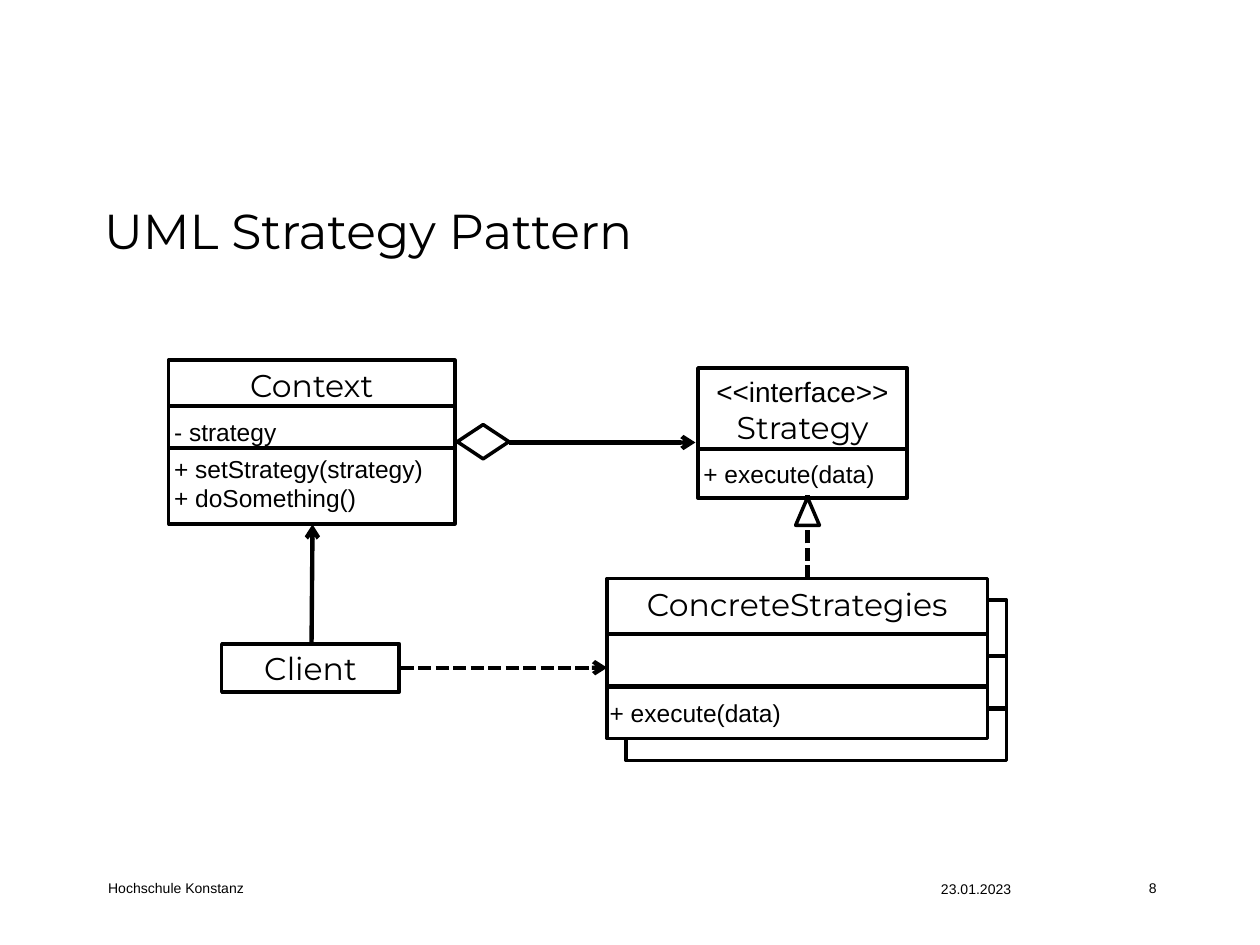
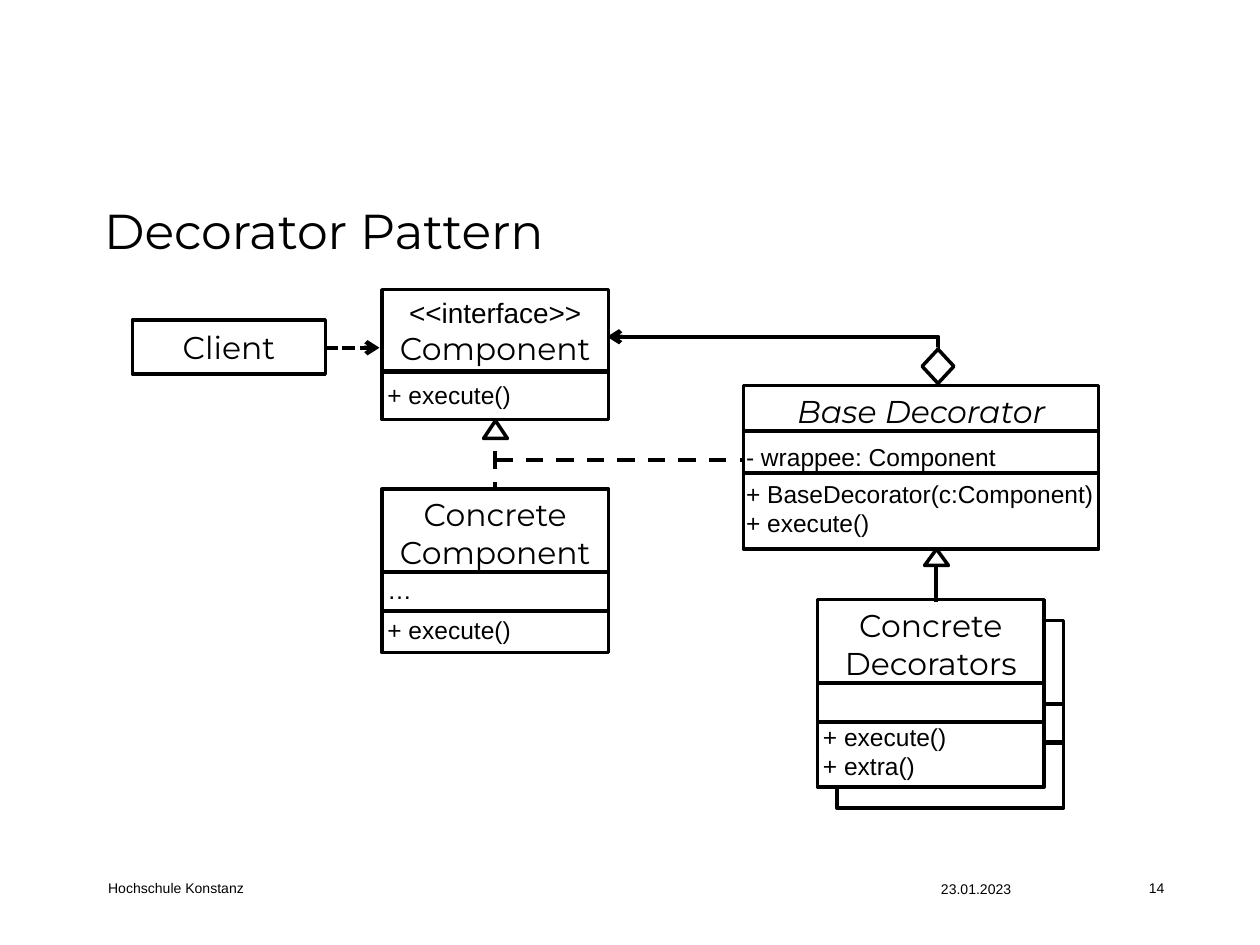
from dataclasses import dataclass
from typing import NamedTuple

from lxml.etree import SubElement
from pptx import Presentation
from pptx.dml.color import RGBColor
from pptx.enum.dml import MSO_LINE
from pptx.enum.shapes import MSO_CONNECTOR, MSO_SHAPE
from pptx.enum.text import MSO_ANCHOR, PP_ALIGN
from pptx.oxml.ns import qn
from pptx.util import Cm, Pt

BLACK, WHITE = "000000", "FFFFFF"
SANS, HEAD = "Arial", "Montserrat"
STEREO = "<<interface>>"


class Note(NamedTuple):
    """Member lines of a class; top counts from the class box."""
    top: float
    lines: list[str]
    space: float = 1.0


@dataclass
class Class:
    left: float
    top: float
    width: float
    height: float
    names: list[str]
    rules: tuple[float, ...] = ()
    notes: tuple[Note, ...] = ()
    inset: float = 0.14
    stack: tuple[float, float] | None = None
    italic: bool = False


class Link(NamedTuple):
    start: tuple[float, float]
    end: tuple[float, float]
    arrow: bool = False
    dash: MSO_LINE | None = None
    bent: bool = False


class Mark(NamedTuple):
    """Diamond or triangle at the end of a link."""
    kind: MSO_SHAPE
    left: float
    top: float
    width: float
    height: float


@dataclass
class Page:
    title: str
    number: str
    classes: list[Class]
    links: list[Link]
    marks: list[Mark]


def color(value: str) -> RGBColor:
    return RGBColor.from_string(value)


def style(para, size: float, face: str, italic: bool = False) -> None:
    for run in para.runs:
        font = run.font
        font.size, font.name = Pt(size), face
        font.color.rgb = color(BLACK)
        if italic:
            font.italic = True


def label(slide, left: float, top: float, width: float, height: float,
          lines: list[str], size: float, face: str = SANS,
          anchor=MSO_ANCHOR.TOP, space: float = 1.0) -> None:
    box = slide.shapes.add_textbox(Cm(left), Cm(top), Cm(width), Cm(height))
    frame = box.text_frame
    frame.word_wrap = True
    frame.vertical_anchor = anchor
    frame.text = "\n".join(lines)
    for para in frame.paragraphs:
        if space != 1:
            para.line_spacing = space
        style(para, size, face)


def shape(slide, kind: MSO_SHAPE, left: float, top: float,
          width: float, height: float):
    item = slide.shapes.add_shape(kind, Cm(left), Cm(top), Cm(width), Cm(height))
    item.shadow.inherit = False
    item.fill.solid()
    item.fill.fore_color.rgb = color(WHITE)
    item.line.color.rgb = color(BLACK)
    item.line.width = Pt(2)
    return item


def connect(slide, link: Link) -> None:
    kind = MSO_CONNECTOR.ELBOW if link.bent else MSO_CONNECTOR.STRAIGHT
    ends = [Cm(value) for value in link.start + link.end]
    wire = slide.shapes.add_connector(kind, *ends)
    wire.line.color.rgb = color(BLACK)
    wire.line.width = Pt(2.5)
    if link.dash:
        wire.line.dash_style = link.dash
    props = wire._element.spPr
    if link.arrow:
        SubElement(props.find(qn("a:ln")), qn("a:tailEnd"), type="arrow")
    if link.bent:
        # Turn right at the start of the wire
        guides = props.find(qn("a:prstGeom")).find(qn("a:avLst"))
        SubElement(guides, qn("a:gd"), name="adj1", fmla="val -100")
    SubElement(props, qn("a:effectLst"))


def frame_box(slide, left: float, top: float, item: Class):
    """Class outline with its dividing rules."""
    box = shape(slide, MSO_SHAPE.RECTANGLE, left, top, item.width, item.height)
    for rule in item.rules:
        connect(slide, Link((left, top + rule), (left + item.width, top + rule)))
    return box


def draw_class(slide, item: Class) -> None:
    if item.stack:
        right, down = item.stack
        frame_box(slide, item.left + right, item.top + down, item)
    frame = frame_box(slide, item.left, item.top, item).text_frame
    frame.word_wrap = True
    frame.vertical_anchor = MSO_ANCHOR.TOP if item.rules else MSO_ANCHOR.MIDDLE
    frame.text = "\n".join(item.names)
    for para in frame.paragraphs:
        para.alignment = PP_ALIGN.CENTER
        if para.text == STEREO:
            style(para, 16, SANS)
        else:
            style(para, 18, HEAD, item.italic)
    for note in item.notes:
        label(slide, item.left - item.inset, item.top + note.top,
              item.width + 0.58, 0.3 + 0.55 * len(note.lines),
              note.lines, 14, space=note.space)


def draw_page(deck, page: Page) -> None:
    slide = deck.slides.add_slide(deck.slide_layouts[6])
    # Footer and title
    label(slide, 22.91, 17.6, 2.21, 0.61, [page.number], 8)
    label(slide, 18.72, 17.53, 2.31, 0.76, ["23.01.2023"], 8,
          anchor=MSO_ANCHOR.MIDDLE)
    label(slide, 1.93, 17.45, 3.89, 0.89, ["Hochschule Konstanz"], 8,
          anchor=MSO_ANCHOR.MIDDLE)
    label(slide, 1.85, 3.91, 21.41, 1.68, [page.title], 28, HEAD)
    # Diagram
    for item in page.classes:
        draw_class(slide, item)
    for link in page.links:
        connect(slide, link)
    for mark in page.marks:
        shape(slide, *mark)


STRATEGY = Page(
    "UML Strategy Pattern", "8",
    classes=[
        Class(3.4, 7.26, 5.77, 3.3, ["Context"], (0.92, 1.77), (
            Note(0.72, ["- strategy"], 1.5),
            Note(1.76, ["+ setStrategy(strategy)", "+ doSomething()"]))),
        Class(14.07, 7.42, 4.22, 2.62, [STEREO, "Strategy"], (1.63,),
              (Note(1.7, ["+ execute(data)"]),)),
        Class(4.47, 12.98, 3.58, 0.97, ["Client"]),
        Class(12.24, 11.66, 7.67, 3.23, ["ConcreteStrategies"], (1.12, 2.18),
              (Note(2.28, ["+ execute(data)"]),), 0.2, (0.38, 0.44)),
    ],
    links=[
        Link((10.26, 8.92), (14.02, 8.92), True),
        Link((6.28, 12.98), (6.3, 10.57), True),
        Link((8.08, 13.46), (12.24, 13.46), True, MSO_LINE.SQUARE_DOT),
        Link((16.28, 11.66), (16.28, 9.96), dash=MSO_LINE.SQUARE_DOT),
    ],
    marks=[
        Mark(MSO_SHAPE.FLOWCHART_DECISION, 9.22, 8.56, 1.04, 0.69),
        Mark(MSO_SHAPE.ISOSCELES_TRIANGLE, 16.04, 10.03, 0.48, 0.56),
    ],
)

DECORATOR = Page(
    "Decorator Pattern", "14",
    classes=[
        Class(2.67, 6.45, 3.89, 1.09, ["Client"]),
        Class(14.99, 7.77, 7.16, 3.3, ["Base Decorator"], (0.92, 1.77), (
            Note(0.72, ["- wrappee: Component"], 1.5),
            Note(1.76, ["+ BaseDecorator(c:Component)", "+ execute()"])),
            0.2, italic=True),
        Class(7.7, 5.84, 4.57, 2.62, [STEREO, "Component"], (1.65,),
              (Note(1.7, ["+ execute()"]),)),
        Class(16.48, 12.09, 4.57, 3.78, ["Concrete", "Decorators"],
              (1.68, 2.46), (Note(2.34, ["+ execute()", "+ extra()"]),),
              stack=(0.39, 0.42)),
        Class(7.7, 9.86, 4.57, 3.3, ["Concrete", "Component"], (1.67, 2.46),
              (Note(2.41, ["+ execute()"]), Note(1.6, ["…"]))),
    ],
    links=[
        Link((9.98, 9.27), (14.99, 9.27), dash=MSO_LINE.DASH),
        Link((6.55, 7.01), (7.65, 7.01), True, MSO_LINE.SQUARE_DOT),
        Link((9.98, 8.48), (9.98, 9.88), dash=MSO_LINE.DASH),
        Link((18.87, 11.07), (18.87, 12.13)),
        Link((18.91, 7.01), (12.24, 6.79), True, bent=True),
    ],
    marks=[
        Mark(MSO_SHAPE.ISOSCELES_TRIANGLE, 9.75, 8.48, 0.48, 0.36),
        Mark(MSO_SHAPE.ISOSCELES_TRIANGLE, 18.64, 11.07, 0.48, 0.33),
        Mark(MSO_SHAPE.DIAMOND, 18.59, 7.04, 0.64, 0.69),
    ],
)


def main() -> None:
    deck = Presentation()
    deck.slide_width, deck.slide_height = Cm(25.4), Cm(19.05)
    for page in (STRATEGY, DECORATOR):
        draw_page(deck, page)
    deck.save("out.pptx")


if __name__ == "__main__":
    main()
